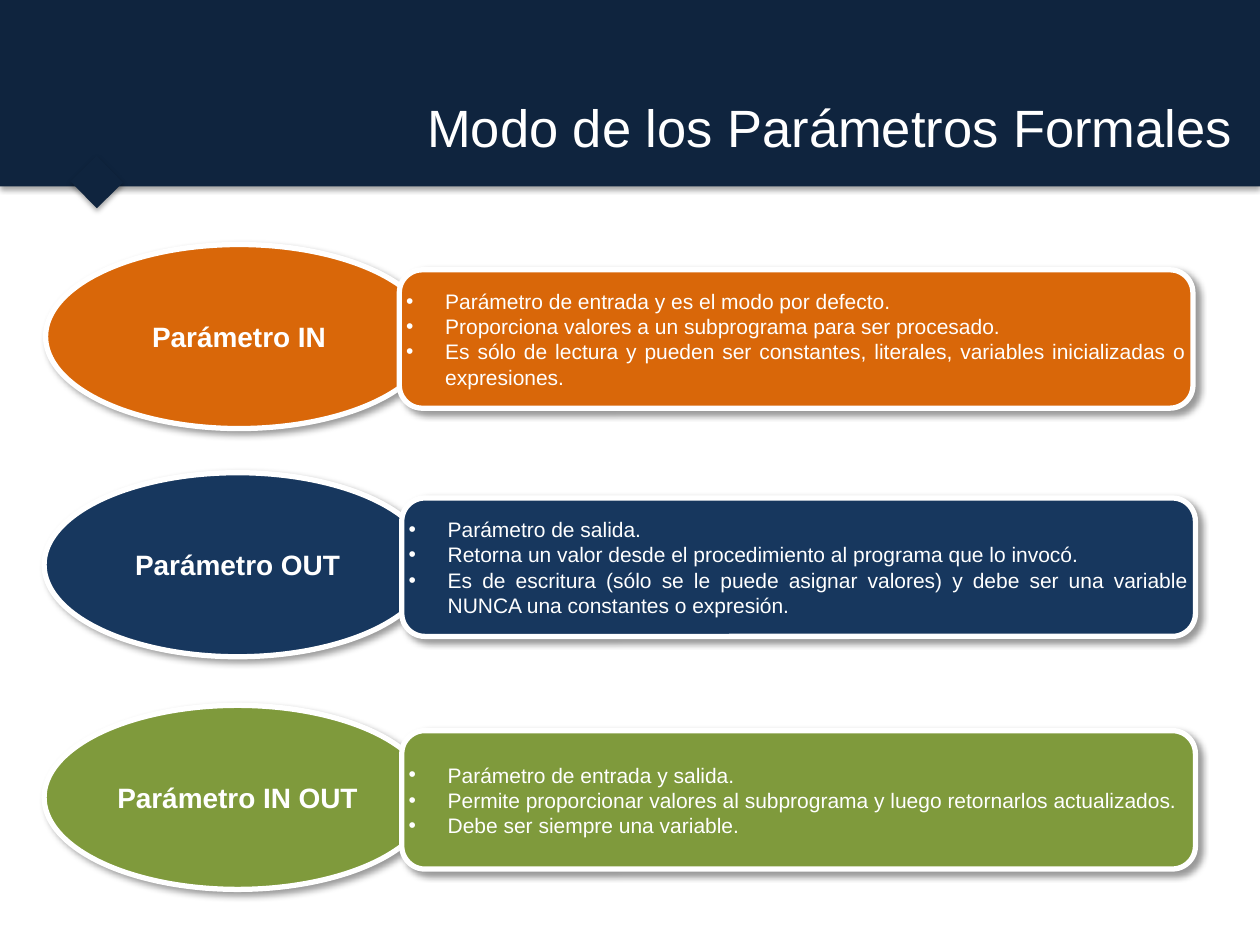
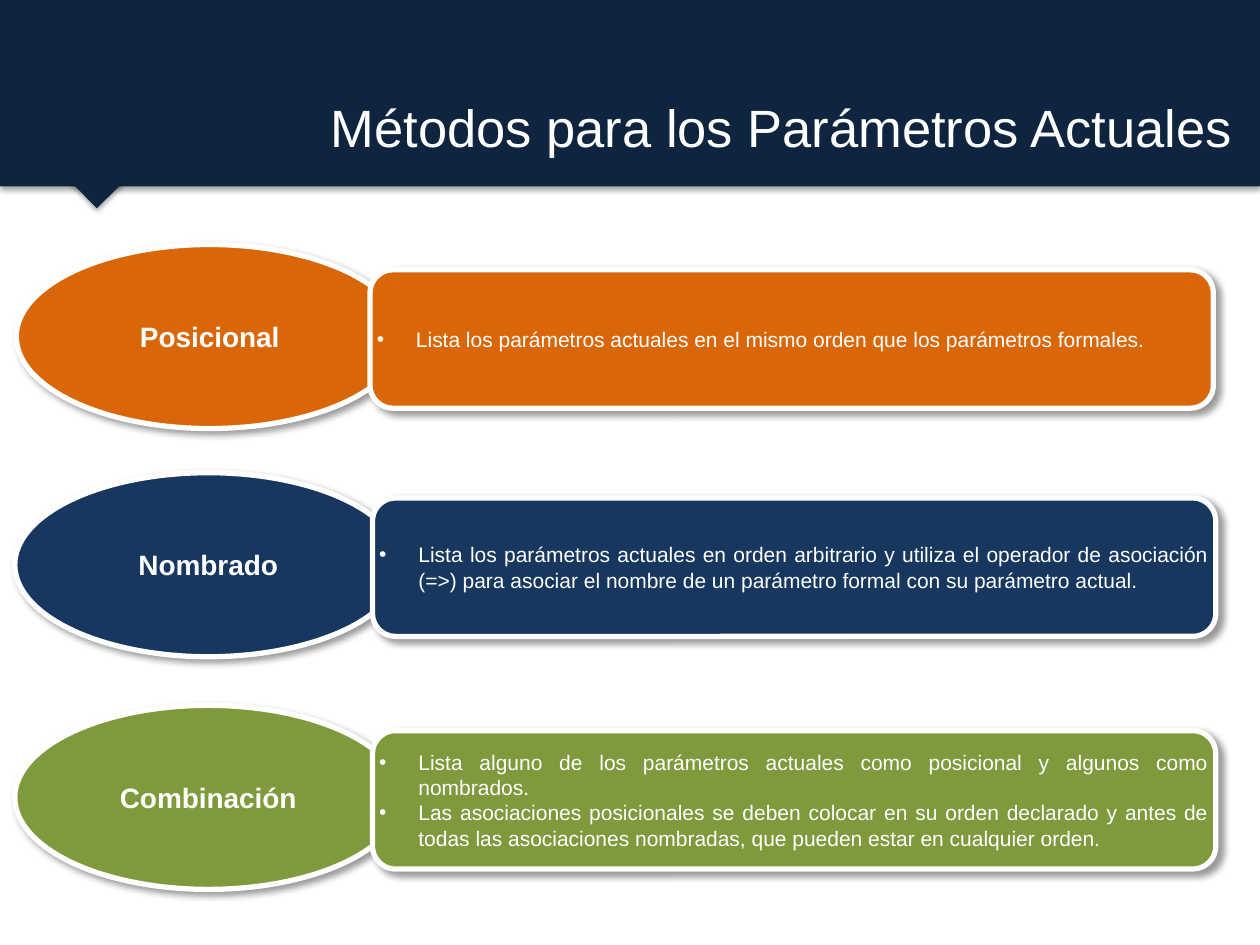
from lxml import etree
from pptx import Presentation
from pptx.dml.color import RGBColor
from pptx.enum.shapes import MSO_SHAPE
from pptx.enum.text import MSO_ANCHOR, MSO_AUTO_SIZE, PP_ALIGN
from pptx.oxml.ns import qn
from pptx.util import Cm, Pt

RECTANGLE, ELLIPSE = MSO_SHAPE.RECTANGLE, MSO_SHAPE.OVAL
ROUNDED = MSO_SHAPE.ROUNDED_RECTANGLE
MIDDLE, NO_AUTOFIT = MSO_ANCHOR.MIDDLE, MSO_AUTO_SIZE.NONE
CENTER, RIGHT, JUSTIFY = PP_ALIGN.CENTER, PP_ALIGN.RIGHT, PP_ALIGN.JUSTIFY

FONT = "Arial"
NAVY, ORANGE, BLUE, GREEN, WHITE = "0F243E", "D96709", "17375E", "7F9A3C", "FFFFFF"

# Opacity in percent, blur and distance in points, direction in degrees
BAND_SHADOW = (35, 3.1, 1.8, 90)
CARD_SHADOW = (40, 4, 3, 45)

SLIDE_WIDTH, SLIDE_HEIGHT = 25.4, 19.05
TITLE_BOX = (1.3, 0.53, 23.8, 4.06)
ELLIPSE_SIZE = (7.8, 3.71)
DETAIL_DROP, DETAIL_HEIGHT = 0.51, 2.79
BULLET_INDENT = 0.79

# Colour, top, and the left offsets of the ellipse and of the detail box
ROWS = [
    (ORANGE, 4.93, 0.03, 7.16),
    (BLUE, 9.53, 0, 7.21),
    (GREEN, 14.22, 0, 7.21),
]

# Title, left edge, width of the detail boxes, one concept per row
SLIDES = [
    ("Modo de los Parámetros Formales", 0.89, 16, [
        ("Parámetro IN", [
            "Parámetro de entrada y es el modo por defecto.",
            "Proporciona valores a un subprograma para ser procesado.",
            "Es sólo de lectura y pueden ser constantes, literales, "
            "variables inicializadas o expresiones.",
        ]),
        ("Parámetro OUT", [
            "Parámetro de salida.",
            "Retorna un valor desde el procedimiento al programa que lo invocó.",
            "Es de escritura (sólo se le puede asignar valores) y debe ser "
            "una variable NUNCA una constantes o expresión.",
        ]),
        ("Parámetro IN OUT", [
            "Parámetro de entrada y salida.",
            "Permite proporcionar valores al subprograma y luego "
            "retornarlos actualizados.",
            "Debe ser siempre una variable.",
        ]),
    ]),
    ("Métodos para los Parámetros Actuales", 0.3, 17, [
        ("Posicional", [
            "Lista los parámetros actuales en el mismo orden que los "
            "parámetros formales.",
        ]),
        ("Nombrado", [
            "Lista los parámetros actuales en orden arbitrario y utiliza el "
            "operador de asociación (=>) para asociar el nombre de un "
            "parámetro formal con su parámetro actual.",
        ]),
        ("Combinación", [
            "Lista alguno de los parámetros actuales como posicional y "
            "algunos como nombrados.",
            "Las asociaciones posicionales se deben colocar en su orden "
            "declarado y antes de todas las asociaciones nombradas, que "
            "pueden estar en cualquier orden.",
        ]),
    ]),
]


def rgb(color):
    return RGBColor.from_string(color)


def add_shadow(shape, opacity, blur, distance, direction):
    shape.shadow.inherit = False
    effects = shape.element.spPr.find(qn("a:effectLst"))
    outer = etree.SubElement(
        effects, qn("a:outerShdw"), blurRad=str(Pt(blur)), dist=str(Pt(distance)),
        dir=str(direction * 60000), algn="ctr", rotWithShape="0")
    black = etree.SubElement(outer, qn("a:srgbClr"), val="000000")
    etree.SubElement(black, qn("a:alpha"), val=str(opacity * 1000))


def add_filled_shape(slide, preset, box, color, shadow, outlined=True):
    shape = slide.shapes.add_shape(preset, *map(Cm, box))
    shape.fill.solid()
    shape.fill.fore_color.rgb = rgb(color)
    if outlined:
        shape.line.color.rgb = rgb(WHITE)
        shape.line.width = Pt(3)
    else:
        shape.line.fill.background()
    add_shadow(shape, *shadow)
    return shape


def add_run(paragraph, text, size, alignment, bold=False):
    paragraph.alignment = alignment
    run = paragraph.add_run()
    run.text = text
    run.font.name = FONT
    run.font.size = Pt(size)
    run.font.bold = bold
    run.font.color.rgb = rgb(WHITE)


def prepare_frame(shape):
    """Remove the margins, centre the text vertically and return the frame."""
    frame = shape.text_frame
    frame.word_wrap = True
    frame.vertical_anchor = MIDDLE
    frame.margin_left = frame.margin_right = 0
    frame.margin_top = frame.margin_bottom = 0
    return frame


def add_bullet(paragraph):
    properties = paragraph._p.get_or_add_pPr()
    properties.set("marL", str(Cm(BULLET_INDENT)))
    properties.set("indent", str(-Cm(BULLET_INDENT)))
    etree.SubElement(properties, qn("a:buFont"), typeface=FONT)
    etree.SubElement(properties, qn("a:buChar"), char="•")


def move_band_to_layout(slide):
    """Draw the header band with its pointer and hand both to the layout."""
    band = add_filled_shape(slide, RECTANGLE, (0, 0, SLIDE_WIDTH, 3.76),
                            NAVY, BAND_SHADOW, outlined=False)
    pointer = add_filled_shape(slide, RECTANGLE, (1.57, 3.3, 0.76, 0.74),
                               NAVY, BAND_SHADOW, outlined=False)
    pointer.rotation = 45.6
    tree = slide.slide_layout.shapes.element
    for position, part in enumerate((band, pointer)):
        part.element.nvSpPr.cNvPr.set("id", str(100 + position))
        tree.insert(2 + position, part.element)


def set_title(slide, text):
    title = slide.shapes.title
    title.left, title.top, title.width, title.height = map(Cm, TITLE_BOX)
    frame = title.text_frame
    frame.auto_size = NO_AUTOFIT
    frame.word_wrap = True
    frame.vertical_anchor = MIDDLE
    add_run(frame.paragraphs[0], text, 30, RIGHT)


def add_concept(slide, box, color, name):
    ellipse = add_filled_shape(slide, ELLIPSE, box, color, CARD_SHADOW)
    add_run(prepare_frame(ellipse).paragraphs[0], name, 16, CENTER, bold=True)


def add_details(slide, box, color, details):
    panel = add_filled_shape(slide, ROUNDED, box, color, CARD_SHADOW)
    frame = prepare_frame(panel)
    for index, detail in enumerate(details):
        paragraph = frame.add_paragraph() if index else frame.paragraphs[0]
        add_run(paragraph, detail, 12, JUSTIFY)
        add_bullet(paragraph)


def main():
    deck = Presentation()
    deck.slide_width, deck.slide_height = Cm(SLIDE_WIDTH), Cm(SLIDE_HEIGHT)
    title_only = deck.slide_layouts[5]
    for number, (title, left, detail_width, concepts) in enumerate(SLIDES):
        slide = deck.slides.add_slide(title_only)
        if number == 0:
            move_band_to_layout(slide)
        set_title(slide, title)
        for row, (name, details) in zip(ROWS, concepts):
            color, top, ellipse_offset, detail_offset = row
            add_concept(slide, (left + ellipse_offset, top, *ELLIPSE_SIZE), color, name)
            add_details(slide, (left + detail_offset, top + DETAIL_DROP,
                                detail_width, DETAIL_HEIGHT), color, details)
    deck.save("out.pptx")


if __name__ == "__main__":
    main()
